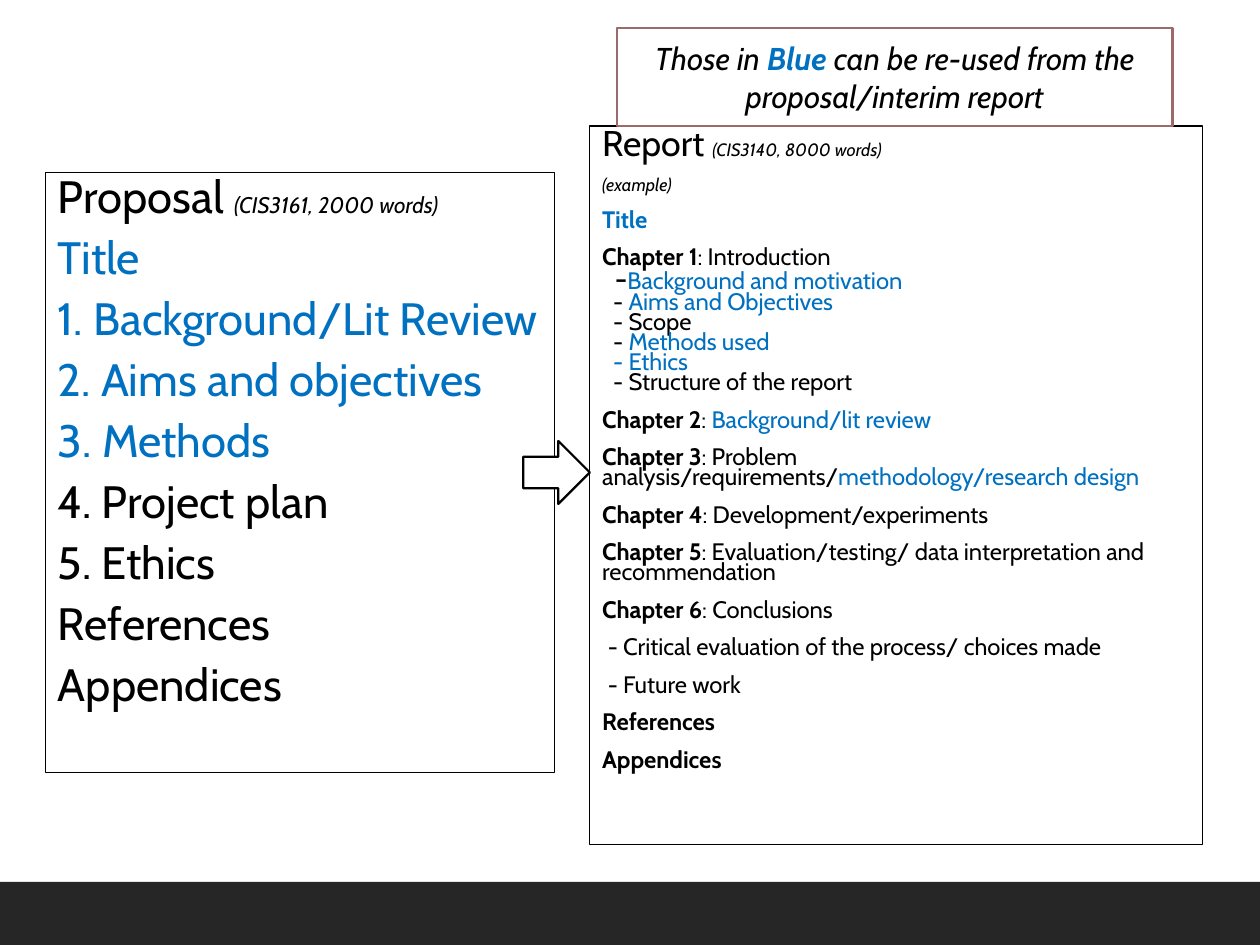
from dataclasses import dataclass
from typing import Optional

from pptx import Presentation
from pptx.dml.color import RGBColor
from pptx.enum.shapes import MSO_SHAPE
from pptx.enum.text import MSO_ANCHOR, PP_ALIGN
from pptx.util import Pt

RECTANGLE = MSO_SHAPE.RECTANGLE
RIGHT_ARROW = MSO_SHAPE.RIGHT_ARROW
TOP, MIDDLE = MSO_ANCHOR.TOP, MSO_ANCHOR.MIDDLE
LEFT, CENTER = PP_ALIGN.LEFT, PP_ALIGN.CENTER

BLACK = RGBColor(0x00, 0x00, 0x00)
WHITE = RGBColor(0xFF, 0xFF, 0xFF)
REUSED = RGBColor(0x00, 0x70, 0xC0)
CALLOUT_LINE = RGBColor(0x9C, 0x6A, 0x6A)
FOOTER = RGBColor(0x26, 0x26, 0x26)

FONT = "Cabin"
PROPOSAL_SIZE, PROPOSAL_NOTE_SIZE = 25.9, 12.9
REPORT_HEADING_SIZE, REPORT_NOTE_SIZE, REPORT_SIZE = 20.4, 10.2, 13.6
CALLOUT_SIZE = 18


@dataclass(frozen=True)
class Span:
    text: str
    size: float = REPORT_SIZE
    color: RGBColor = BLACK
    bold: bool = False
    italic: bool = False


@dataclass(frozen=True)
class Line:
    spans: tuple[Span, ...]
    before: float = 10
    indent: float = 0


@dataclass(frozen=True)
class Box:
    left: float
    top: float
    width: float
    height: float
    fill: Optional[RGBColor] = None
    outline: Optional[RGBColor] = None
    weight: float = 0.75
    kind: MSO_SHAPE = RECTANGLE


def draw_box(slide, box: Box):
    shape = slide.shapes.add_shape(
        box.kind, Pt(box.left), Pt(box.top), Pt(box.width), Pt(box.height))
    shape.shadow.inherit = False
    if box.fill is None:
        shape.fill.background()
    else:
        shape.fill.solid()
        shape.fill.fore_color.rgb = box.fill
    if box.outline is None:
        shape.line.fill.background()
    else:
        shape.line.color.rgb = box.outline
        shape.line.width = Pt(box.weight)
    return shape


def write_lines(shape, lines: list[Line], spacing: float,
                anchor=TOP, align=LEFT) -> None:
    frame = shape.text_frame
    frame.word_wrap = True
    frame.vertical_anchor = anchor
    for index, line in enumerate(lines):
        paragraph = frame.add_paragraph() if index else frame.paragraphs[0]
        paragraph.alignment = align
        paragraph.line_spacing = spacing
        paragraph.space_before = Pt(line.before)
        if line.indent:
            paragraph._p.get_or_add_pPr().set("marL", str(Pt(line.indent)))
        for span in line.spans:
            run = paragraph.add_run()
            run.text = span.text
            run.font.name = FONT
            run.font.size = Pt(span.size)
            run.font.color.rgb = span.color
            run.font.bold = span.bold
            run.font.italic = span.italic


def proposal_item(text: str, color: RGBColor = BLACK) -> Line:
    return Line((Span(text, PROPOSAL_SIZE, color),))


def chapter(number: int, topic: str, reused: str = "") -> Line:
    spans = (Span(f"Chapter {number}", bold=True), Span(f": {topic}"))
    return Line(spans + ((Span(reused, color=REUSED),) if reused else ()))


def section(text: str, color: RGBColor = BLACK, dash_color: RGBColor = BLACK) -> Line:
    """Return a tightly spaced dashed entry under a chapter."""
    return Line((Span("- ", color=dash_color), Span(text, color=color)),
                before=0, indent=6.3)


def bold_item(text: str, color: RGBColor = BLACK) -> Line:
    return Line((Span(text, color=color, bold=True),))


PROPOSAL = [
    Line((Span("Proposal ", PROPOSAL_SIZE),
          Span("(CIS3161, 2000 words)", PROPOSAL_NOTE_SIZE, italic=True))),
    *(proposal_item(text, REUSED) for text in (
        "Title", "1. Background/Lit Review", "2. Aims and objectives", "3. Methods")),
    *(proposal_item(text) for text in (
        "4. Project plan", "5. Ethics", "References", "Appendices")),
]

REPORT = [
    Line((Span("Report ", REPORT_HEADING_SIZE),
          Span("(CIS3140, 8000 words)", REPORT_NOTE_SIZE, italic=True))),
    Line((Span("(example)", REPORT_NOTE_SIZE, italic=True),)),
    bold_item("Title", REUSED),
    chapter(1, "Introduction"),
    Line((Span("-", 17), Span("Background and motivation", color=REUSED)),
         before=0, indent=7.2),
    section("Aims and Objectives", REUSED),
    section("Scope"),
    section("Methods used", REUSED),
    section("Ethics", REUSED, REUSED),
    section("Structure of the report"),
    chapter(2, "", "Background/lit review"),
    chapter(3, "Problem analysis/requirements/", "methodology/research design"),
    chapter(4, "Development/experiments"),
    chapter(5, "Evaluation/testing/ data interpretation and recommendation"),
    chapter(6, "Conclusions"),
    *(Line((Span(f"- {text}"),), indent=3.2) for text in (
        "Critical evaluation of the process/ choices made", "Future work")),
    bold_item("References"),
    bold_item("Appendices"),
]

CALLOUT = [Line((
    Span("Those in ", CALLOUT_SIZE, italic=True),
    Span("Blue", CALLOUT_SIZE, REUSED, bold=True, italic=True),
    Span(" can be re-used from the proposal/interim report", CALLOUT_SIZE, italic=True),
), before=0)]


def main() -> None:
    presentation = Presentation()
    presentation.slide_width, presentation.slide_height = Pt(720), Pt(540)
    slide = presentation.slides.add_slide(presentation.slide_layouts[6])

    draw_box(slide, Box(0, 504, 720, 36, fill=FOOTER))
    proposal = draw_box(slide, Box(26, 98.5, 291, 343, outline=BLACK))
    write_lines(proposal, PROPOSAL, spacing=0.8)
    report = draw_box(slide, Box(337, 72, 350, 410.5, outline=BLACK))
    write_lines(report, REPORT, spacing=0.7)
    draw_box(slide, Box(299, 252, 38, 36, WHITE, BLACK, 1.25, RIGHT_ARROW))
    callout = draw_box(slide, Box(352.5, 16, 317.5, 56, WHITE, CALLOUT_LINE, 1.25))
    write_lines(callout, CALLOUT, spacing=1.0, anchor=MIDDLE, align=CENTER)

    presentation.save("out.pptx")


if __name__ == "__main__":
    main()
